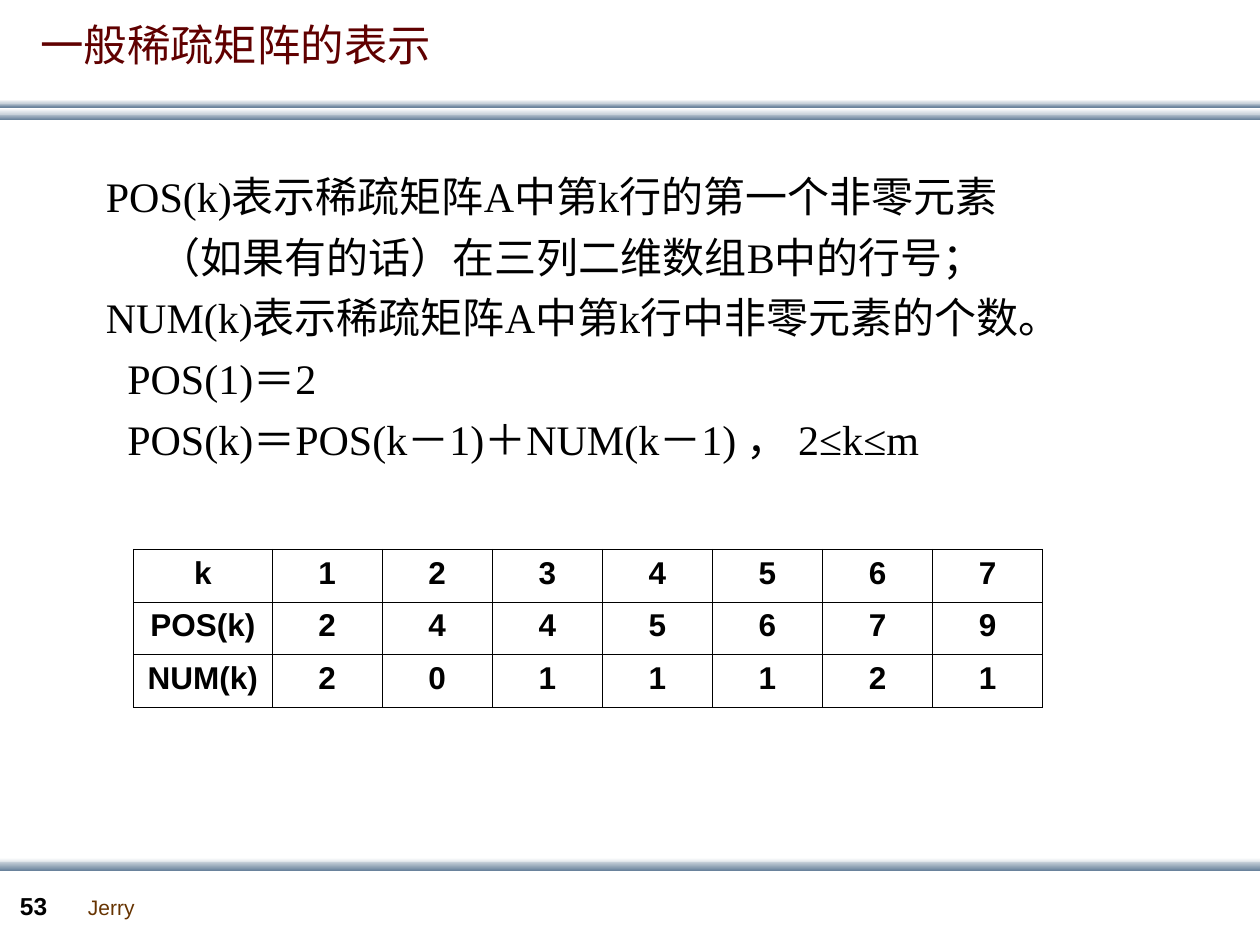
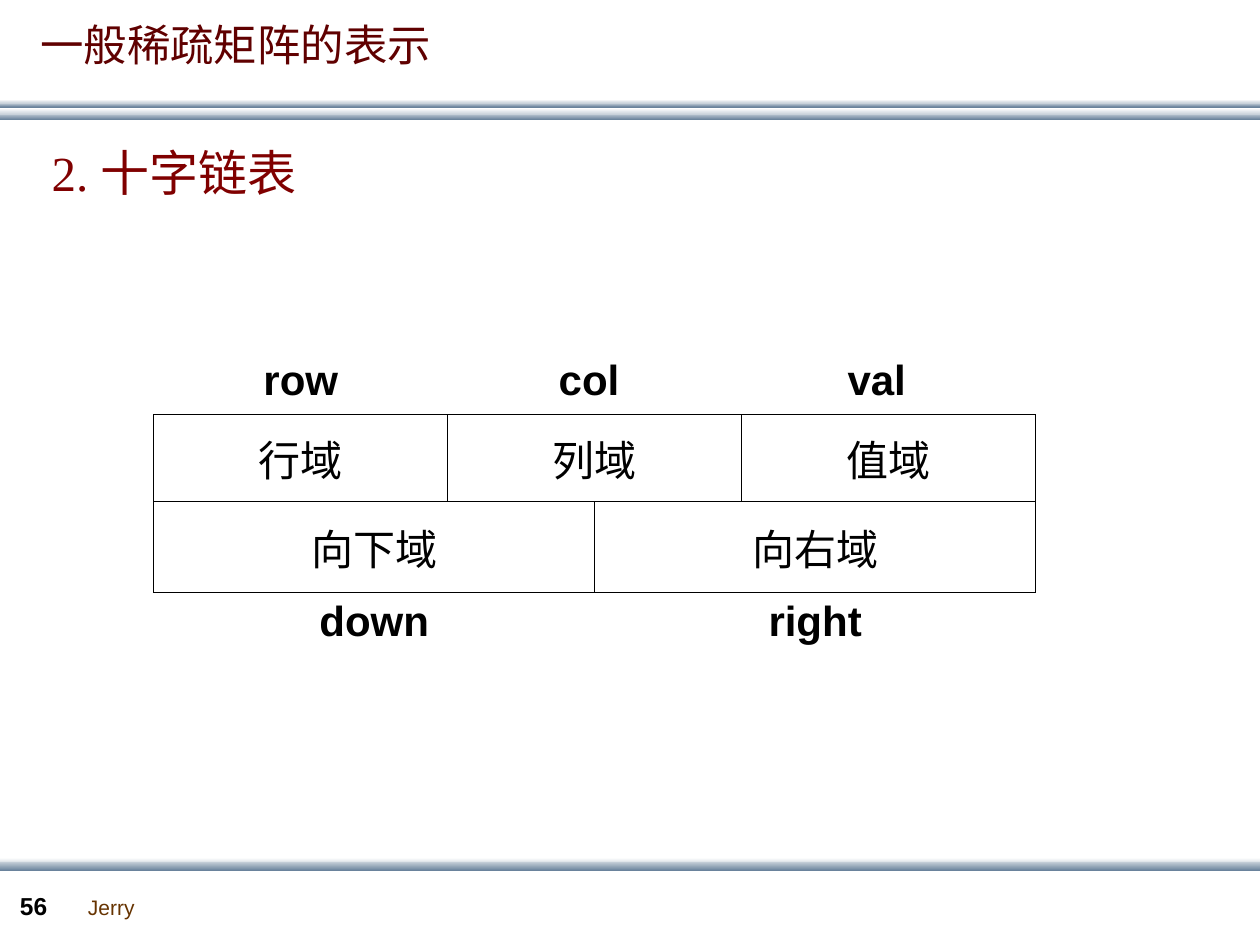
from itertools import product

from lxml import etree
from pptx import Presentation
from pptx.dml.color import RGBColor
from pptx.enum.shapes import MSO_SHAPE
from pptx.enum.text import MSO_ANCHOR as ANCHOR, MSO_AUTO_SIZE as AUTO_SIZE, PP_ALIGN as ALIGN
from pptx.oxml.ns import qn
from pptx.util import Inches, Pt

BLACK = RGBColor(0x00, 0x00, 0x00)
WHITE = RGBColor(0xFF, 0xFF, 0xFF)
MIST = RGBColor(0xC8, 0xD1, 0xDA)
STEEL = RGBColor(0x6A, 0x83, 0x9C)
BROWN = RGBColor(0x66, 0x33, 0x00)
MAROON = RGBColor(0x60, 0x00, 0x00)
DARK_RED = RGBColor(0x80, 0x00, 0x00)

SANS, SERIF, CHINESE = "Arial", "Times New Roman", "Noto Sans CJK SC"
TITLE_FONT = dict(name=CHINESE, size=Pt(24.8), bold=False)
TEXT_FONT = dict(name=SERIF, size=Pt(24), bold=False)
HEADING_FONT = dict(name=SERIF, size=Pt(28), bold=False)
NUMBER_FONT = dict(name=SANS, size=Pt(14), bold=True)
AUTHOR_FONT = dict(name=SANS, size=Pt(12), bold=False)
VALUE_FONT = dict(name=SANS, size=Pt(18), bold=True)
LABEL_FONT = dict(name=SANS, size=Pt(24), bold=True)
FIELD_FONT = dict(name=CHINESE, size=Pt(24), bold=False)

# Content
TITLE = "一般稀疏矩阵的表示"
AUTHOR = "Jerry"
DEFINITIONS = [  # text, indent in inches
    ("POS(k)表示稀疏矩阵A中第k行的第一个非零元素", 0),
    ("（如果有的话）在三列二维数组B中的行号；", 0.42),
    ("NUM(k)表示稀疏矩阵A中第k行中非零元素的个数。", 0),
    ("POS(1)＝2", 0.17),
    ("POS(k)＝POS(k－1)＋NUM(k－1) ， 2≤k≤m", 0.17),
]
POSITIONS = [
    ["k", 1, 2, 3, 4, 5, 6, 7],
    ["POS(k)", 2, 4, 4, 5, 6, 7, 9],
    ["NUM(k)", 2, 0, 1, 1, 1, 2, 1],
]
HEADING = [("2. 十字链表", 0)]
NODE_ROWS = [  # each row: (text, columns spanned)
    [("row", 1), ("col", 2), ("val", 1)],
    [("行域", 1), ("列域", 2), ("值域", 1)],
    [("向下域", 2), ("向右域", 2)],
    [("down", 2), ("right", 2)],
]
NODE_RIGHT_MARGINS = {"col": 0.19, "val": 0.29}

# Layout
BANDS = [  # top, height, colours from top to bottom
    (0.9, 0.05, (MIST, STEEL)),
    (0.82, 0.03, (MIST, STEEL)),
    (0.86, 0.05, (WHITE, MIST)),
    (0.79, 0.03, (WHITE, MIST)),
    (6.81, 0.05, (WHITE, MIST)),
    (6.84, 0.07, (MIST, STEEL)),
]
NODE_WIDTH = 7
NODE_COLUMNS = [NODE_WIDTH / share for share in (3, 6, 6, 3)]
NODE_HEIGHTS = [0.5, 0.69, 0.72, 0.5]
POSITION_COLUMNS = [1.1] + [0.874] * 7
POSITION_HEIGHTS = [0.417] * 3
EDGES = {"left": "a:lnL", "right": "a:lnR", "top": "a:lnT", "bottom": "a:lnB"}


def style_paragraph(paragraph, text, font, color, **paragraph_format):
    run = paragraph.add_run()
    run.text = str(text)
    for name, value in font.items():
        setattr(run.font, name, value)
    run.font.color.rgb = color
    etree.SubElement(run.font._element, qn("a:ea")).set("typeface", CHINESE)
    for name, value in paragraph_format.items():
        setattr(paragraph, name, value)


def place(shape, left, top, width, height):
    for name, value in dict(left=left, top=top, width=width, height=height).items():
        setattr(shape, name, Inches(value))


def set_frame(frame, wrap=True):
    for name, value in dict(word_wrap=wrap, auto_size=AUTO_SIZE.NONE,
                            vertical_anchor=ANCHOR.TOP).items():
        setattr(frame, name, value)


def add_label(slide, box, text, font, color, wrap=True):
    label = slide.shapes.add_textbox(*map(Inches, box))
    set_frame(label.text_frame, wrap)
    style_paragraph(label.text_frame.paragraphs[0], text, font, color)
    return label


def add_band(slide, width, top, height, colors):
    band = slide.shapes.add_shape(MSO_SHAPE.RECTANGLE, 0, Inches(top), width, Inches(height))
    band.shadow.inherit = False
    band.line.fill.background()
    band.fill.gradient()
    band.fill.gradient_angle = 270
    for stop, color, position in zip(band.fill.gradient_stops, colors, (0, 1)):
        stop.color.rgb = color
        stop.position = position
    return band


def move_to_layout(shapes, layout):
    """Let every slide of the layout share these shapes."""
    for number, shape in enumerate(shapes, 100):
        shape.element.nvSpPr.cNvPr.set("id", str(number))
        layout.shapes.element.append(shape.element)


def fill_title(slide):
    title = slide.shapes.title
    place(title, 0.22, 0.17, 9.6, 0.55)
    set_frame(title.text_frame)
    style_paragraph(title.text_frame.paragraphs[0], TITLE, TITLE_FONT, MAROON,
                    alignment=ALIGN.LEFT, line_spacing=0.8)


def fill_body(slide, box, lines, font, color, gap):
    body = slide.placeholders[1]
    place(body, *box)
    frame = body.text_frame
    set_frame(frame)
    for number, (text, indent) in enumerate(lines):
        paragraph = frame.add_paragraph() if number else frame.paragraphs[0]
        properties = paragraph._p.get_or_add_pPr()
        properties.set("marL", str(Inches(indent)))
        properties.set("indent", "0")
        etree.SubElement(properties, qn("a:buNone"))
        style_paragraph(paragraph, text, font, color, alignment=ALIGN.LEFT,
                        space_before=Pt(gap if number else 0))


def set_borders(cell, hidden=()):
    properties = cell._tc.get_or_add_tcPr()
    for position, (edge, tag) in enumerate(EDGES.items()):
        line = etree.Element(qn(tag), w=str(Pt(0.45)))
        properties.insert(position, line)
        if edge in hidden:
            etree.SubElement(line, qn("a:noFill"))
        else:
            fill = etree.SubElement(line, qn("a:solidFill"))
            etree.SubElement(fill, qn("a:srgbClr"), val=str(BLACK))


def add_plain_table(slide, left, top, columns, heights):
    size = (left, top, sum(columns), sum(heights))
    table = slide.shapes.add_table(len(heights), len(columns), *map(Inches, size)).table
    table.first_row = table.horz_banding = False
    for column, width in zip(table.columns, columns):
        column.width = Inches(width)
    for row, height in zip(table.rows, heights):
        row.height = Inches(height)
    for cell in table.iter_cells():
        cell.fill.background()
    return table


def add_position_table(slide):
    table = add_plain_table(slide, 1.06, 4.36, POSITION_COLUMNS, POSITION_HEIGHTS)
    for row, column in product(range(len(POSITION_HEIGHTS)), range(len(POSITION_COLUMNS))):
        cell = table.cell(row, column)
        set_borders(cell)
        style_paragraph(cell.text_frame.paragraphs[0], POSITIONS[row][column],
                        VALUE_FONT, BLACK, alignment=ALIGN.CENTER)


def add_node_table(slide):
    table = add_plain_table(slide, 1.22, 2.79, NODE_COLUMNS, NODE_HEIGHTS)
    last = len(NODE_ROWS) - 1
    hidden_edges = {0: ("left", "right", "top"), last: ("left", "right", "bottom")}
    for row, fields in enumerate(NODE_ROWS):
        is_label = row in hidden_edges
        column = 0
        for text, span in fields:
            cell = table.cell(row, column)
            if span > 1:
                cell.merge(table.cell(row, column + span - 1))
            for covered in range(column, column + span):
                set_borders(table.cell(row, covered), hidden_edges.get(row, ()))
            cell.vertical_anchor = ANCHOR.TOP if is_label else ANCHOR.MIDDLE
            cell.margin_right = Inches(NODE_RIGHT_MARGINS.get(text, 0.1))
            style_paragraph(cell.text_frame.paragraphs[0], text,
                            LABEL_FONT if is_label else FIELD_FONT, BLACK,
                            alignment=ALIGN.CENTER)
            column += span


def add_numbered_slide(presentation, layout, number):
    slide = presentation.slides.add_slide(layout)
    fill_title(slide)
    add_label(slide, (0.06, 7.02, 0.55, 0.34), number, NUMBER_FONT, BLACK)
    return slide


def main():
    presentation = Presentation()
    presentation.slide_width, presentation.slide_height = Inches(10), Inches(7.5)
    layout = presentation.slide_layouts[1]

    slide = add_numbered_slide(presentation, layout, 53)
    shared = [add_band(slide, presentation.slide_width, *band) for band in BANDS]
    shared.append(add_label(slide, (0.6, 7.05, 0.57, 0.3), AUTHOR, AUTHOR_FONT, BROWN, wrap=False))
    move_to_layout(shared, layout)
    fill_body(slide, (0.74, 1.3, 8.42, 2.51), DEFINITIONS, TEXT_FONT, BLACK, gap=6)
    add_position_table(slide)

    slide = add_numbered_slide(presentation, layout, 56)
    fill_body(slide, (0.31, 1.08, 4.17, 0.76), HEADING, HEADING_FONT, DARK_RED, gap=0)
    add_node_table(slide)

    presentation.save("out.pptx")


if __name__ == "__main__":
    main()
